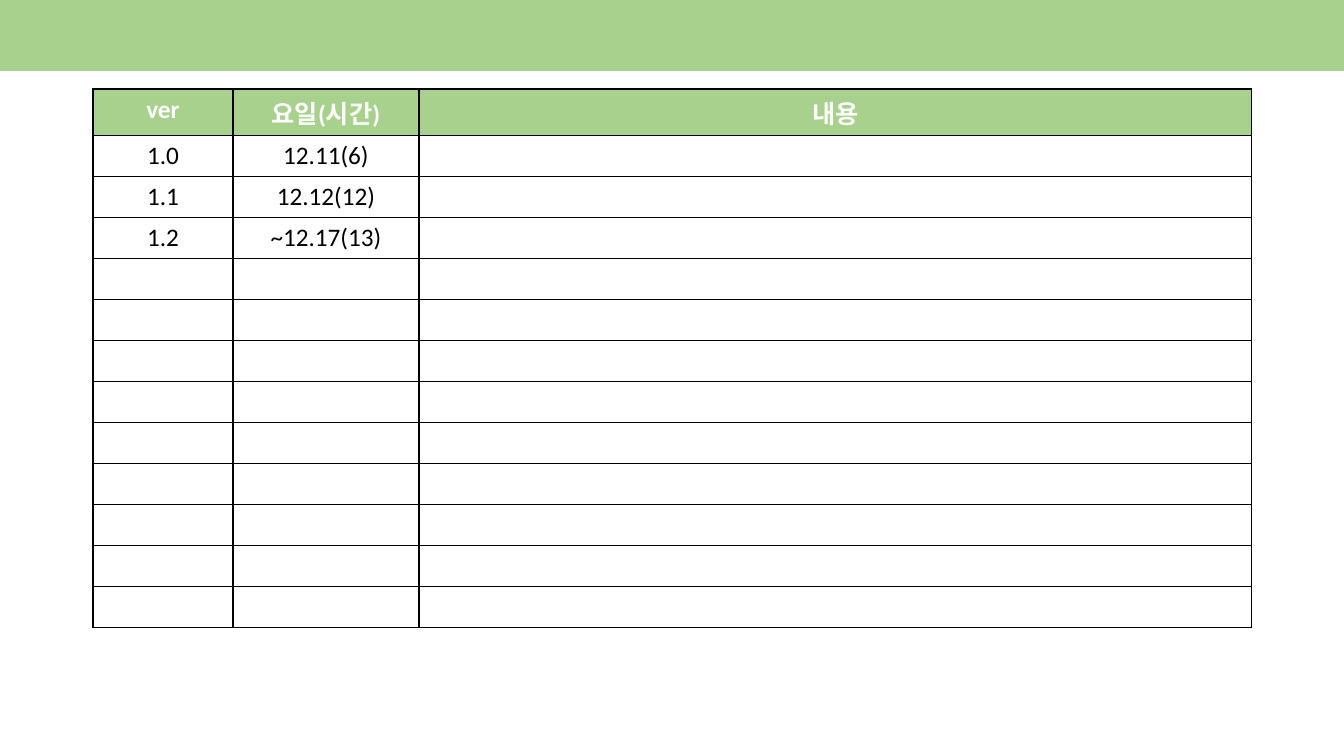
import lxml.etree
import pptx
import pptx.dml.color
import pptx.enum.shapes
import pptx.enum.text
import pptx.oxml.ns
import pptx.util

EMU_PER_PX = 914400 / 100.8
GREEN, WHITE, BLACK = "A9D18E", "FFFFFF", "000000"


def px(length):
    return pptx.util.Emu(round(length * EMU_PER_PX))


def paint(color_format, hex_color):
    color_format.rgb = pptx.dml.color.RGBColor.from_string(hex_color)


deck = pptx.Presentation()
deck.slide_width, deck.slide_height = px(1344), px(756)
slide = deck.slides.add_slide(deck.slide_layouts[6])

top_band = slide.shapes.add_shape(
    pptx.enum.shapes.MSO_SHAPE.RECTANGLE, 0, 0, px(1344), px(71))
top_band.shadow.inherit = False
top_band.fill.solid()
paint(top_band.fill.fore_color, GREEN)
top_band.line.fill.background()

versions = [
    ("ver", "요일(시간)", "내용"),
    ("1.0", "12.11(6)", ""),
    ("1.1", "12.12(12)", ""),
    ("1.2", "~12.17(13)", ""),
]
versions += [("", "", "")] * 9
column_widths = [140, 186, 833]
row_height = 41

history = slide.shapes.add_table(
    len(versions), len(column_widths), px(93), px(89),
    px(sum(column_widths)), px(row_height * len(versions))).table
for column, width in zip(history.columns, column_widths):
    column.width = px(width)

for row_index, entries in enumerate(versions):
    is_header = row_index == 0
    history.rows[row_index].height = px(row_height)
    for column_index, entry in enumerate(entries):
        cell = history.cell(row_index, column_index)
        if not is_header:
            cell.vertical_anchor = pptx.enum.text.MSO_ANCHOR.MIDDLE

        # Borders have to precede the fill inside the cell properties
        properties = cell._tc.get_or_add_tcPr()
        for side in ("a:lnL", "a:lnR", "a:lnT", "a:lnB"):
            border = lxml.etree.SubElement(
                properties, pptx.oxml.ns.qn(side), w=str(pptx.util.Pt(1)))
            line_fill = lxml.etree.SubElement(border, pptx.oxml.ns.qn("a:solidFill"))
            lxml.etree.SubElement(line_fill, pptx.oxml.ns.qn("a:srgbClr"), val=BLACK)
        cell.fill.solid()
        paint(cell.fill.fore_color, GREEN if is_header else WHITE)

        paragraph = cell.text_frame.paragraphs[0]
        paragraph.alignment = pptx.enum.text.PP_ALIGN.CENTER
        if entry:
            run = paragraph.add_run()
            run.text = entry
            run.font.name = "Calibri"
            run.font.size = pptx.util.Pt(18)
            run.font.bold = is_header
            paint(run.font.color, WHITE if is_header else BLACK)

deck.save("out.pptx")
